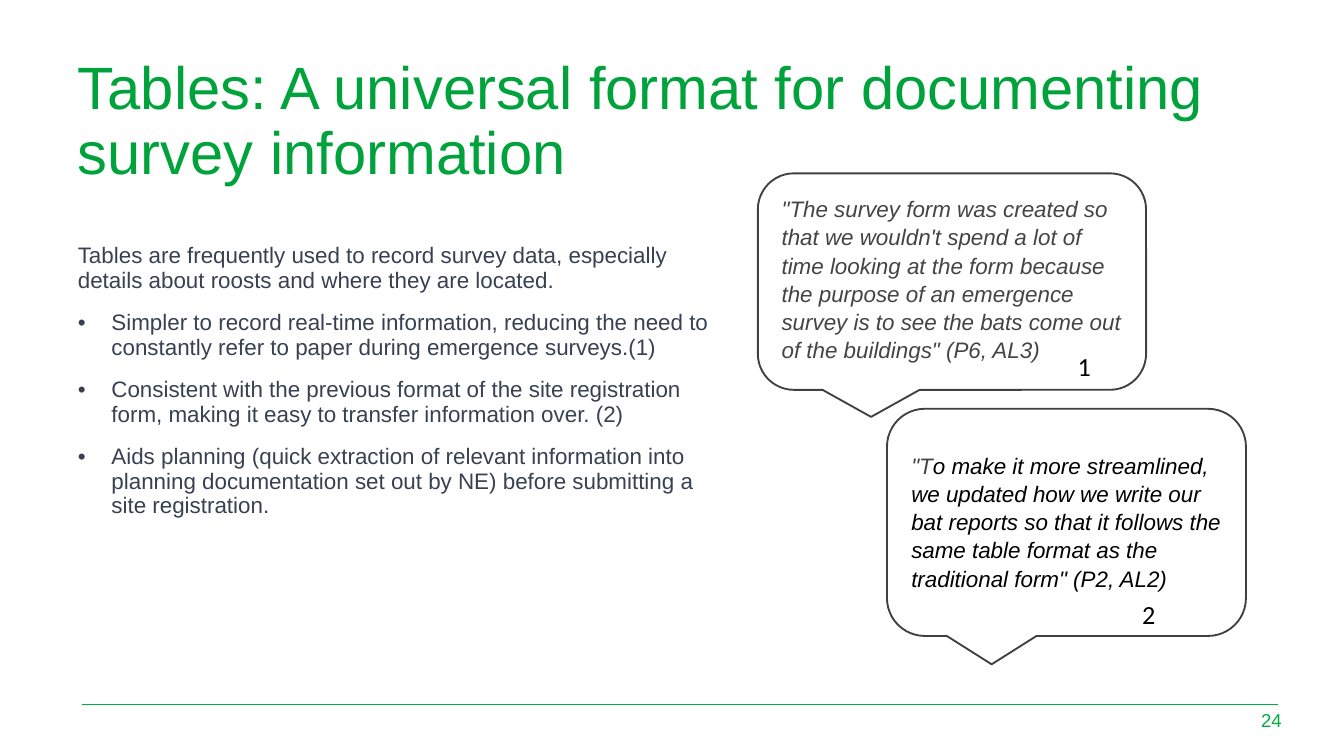
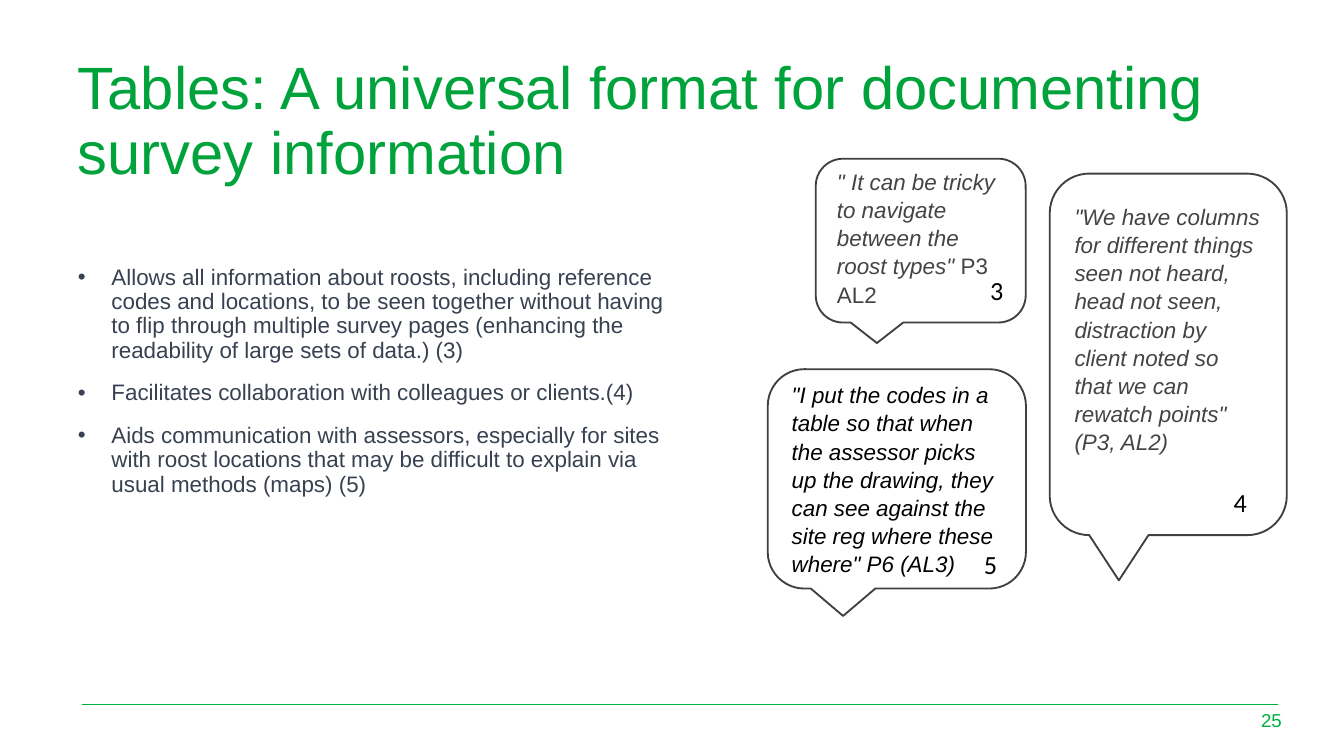
from dataclasses import dataclass

from lxml import etree
from pptx import Presentation
from pptx.dml.color import RGBColor
from pptx.enum import shapes, text
from pptx.oxml import ns
from pptx.util import Pt


@dataclass(frozen=True)
class Theme:
    font: str = "Arial"
    label_font: str = "Calibri"
    title: str = "00A33B"
    accent: str = "00AF41"
    body: str = "374151"
    quote: str = "444444"
    outline: str = "404040"
    black: str = "000000"
    white: str = "FFFFFF"
    title_size: int = 32
    text_size: int = 12
    label_size: int = 14
    number_size: int = 10
    tight: float = 0.9
    loose: float = 1.05
    indent: int = 18


THEME = Theme()
HEADING = "Tables: A universal format for documenting survey information"
FIRST_NUMBER = 24


@dataclass(frozen=True)
class Quote:
    """A speech bubble: runs are (words, colour, italic), label is relative to box."""
    number: str
    box: tuple
    label: tuple
    inset: float
    runs: tuple


def points(*lengths):
    return [Pt(length) for length in lengths]


def add_run(paragraph, words, size, color, font=THEME.font, italic=False):
    run = paragraph.add_run()
    run.text = words
    run.font.name = font
    run.font.size = Pt(size)
    run.font.italic = italic
    run.font.color.rgb = RGBColor.from_string(color)


def place(placeholder, box):
    placeholder.left, placeholder.top, placeholder.width, placeholder.height = points(*box)
    frame = placeholder.text_frame
    frame.auto_size = text.MSO_AUTO_SIZE.NONE
    frame.vertical_anchor = text.MSO_ANCHOR.TOP
    return frame


def set_bullet(paragraph, char):
    """Hang the paragraph on char, or set it flush left without one."""
    props = paragraph._p.get_or_add_pPr()
    indent = Pt(THEME.indent) if char else 0
    props.set("marL", str(indent))
    props.set("indent", str(-indent))
    if char:
        etree.SubElement(props, ns.qn("a:buFont")).set("typeface", THEME.font)
        etree.SubElement(props, ns.qn("a:buChar")).set("char", char)
    else:
        etree.SubElement(props, ns.qn("a:buNone"))


def add_title(slide, box):
    paragraph = place(slide.shapes.title, box).paragraphs[0]
    paragraph.alignment = text.PP_ALIGN.LEFT
    paragraph.line_spacing = THEME.tight
    add_run(paragraph, HEADING, THEME.title_size, THEME.title)


def add_points(slide, box, inset, intro, bullets):
    frame = place(slide.placeholders[1], box)
    frame.margin_top = Pt(inset)
    entries = [(intro, None)] if intro else []
    entries += [(words, "•") for words in bullets]
    for i, (words, char) in enumerate(entries):
        paragraph = frame.add_paragraph() if i else frame.paragraphs[0]
        paragraph.line_spacing = THEME.tight
        paragraph.space_before = Pt(10)
        set_bullet(paragraph, char)
        add_run(paragraph, words, THEME.text_size, THEME.body)


def add_quote(slide, quote):
    left, top, _, _ = quote.box
    bubble = slide.shapes.add_shape(
        shapes.MSO_SHAPE.ROUNDED_RECTANGULAR_CALLOUT, *points(*quote.box))
    bubble.shadow.inherit = False
    bubble.fill.solid()
    bubble.fill.fore_color.rgb = RGBColor.from_string(THEME.white)
    bubble.line.color.rgb = RGBColor.from_string(THEME.outline)
    bubble.line.width = Pt(1)
    frame = bubble.text_frame
    frame.word_wrap = True
    frame.vertical_anchor = text.MSO_ANCHOR.TOP
    frame.margin_top = Pt(quote.inset)
    paragraph = frame.paragraphs[0]
    paragraph.alignment = text.PP_ALIGN.LEFT
    paragraph.line_spacing = THEME.loose
    for words, color, italic in quote.runs:
        add_run(paragraph, words, THEME.text_size, color, italic=italic)

    dx, dy = quote.label
    label = slide.shapes.add_textbox(*points(left + dx, top + dy, 52.5, 24.5)).text_frame
    label.word_wrap = True
    label.auto_size = text.MSO_AUTO_SIZE.SHAPE_TO_FIT_TEXT
    add_run(label.paragraphs[0], quote.number, THEME.label_size, THEME.black, THEME.label_font)


def add_footer(slide, box, number):
    left, top, width, height = box
    rule = slide.shapes.add_connector(
        shapes.MSO_CONNECTOR.STRAIGHT, *points(left, top, left + width, top))
    rule.line.color.rgb = RGBColor.from_string(THEME.accent)
    rule.line.width = Pt(0.5)
    etree.SubElement(rule._element.spPr, ns.qn("a:effectLst"))

    frame = slide.shapes.add_textbox(
        *points(left + width - 23.5, top - 2, 32.5, height)).text_frame
    frame.word_wrap = True
    frame.vertical_anchor = text.MSO_ANCHOR.MIDDLE
    frame.paragraphs[0].alignment = text.PP_ALIGN.RIGHT
    add_run(frame.paragraphs[0], str(number), THEME.number_size, THEME.accent)


def add_findings_slide(deck, number, body_box, inset, intro, bullets, quotes):
    slide = deck.slides.add_slide(deck.slide_layouts[1])
    slide.background.fill.solid()
    slide.background.fill.fore_color.rgb = RGBColor.from_string(THEME.white)
    add_footer(slide, (43.9, 377.2, 640.8, 21.6), number)
    add_title(slide, (34.5, 27.5, 651, 28.8))
    add_points(slide, body_box, inset, intro, bullets)
    for quote in quotes:
        add_quote(slide, quote)


FINDINGS = [
    dict(
        body_box=(34.5, 127.4, 362, 274.3),
        inset=3.6,
        intro="Tables are frequently used to record survey data, especially details about "
              "roosts and where they are located.",
        bullets=[
            "Simpler to record real-time information, reducing the need to constantly refer "
            "to paper during emergence surveys.(1)",
            "Consistent with the previous format of the site registration form, making it "
            "easy to transfer information over. (2)",
            "Aids planning (quick extraction of relevant information into planning "
            "documentation set out by NE) before submitting a site registration.",
        ],
        quotes=[
            Quote("1", (406, 92.9, 208, 116), (164.2, 91.4), 5.4, (
                ("\"The survey form was created so that we wouldn't spend a lot of time "
                 "looking at the form because the purpose of an emergence survey is to see "
                 "the bats come out of the buildings\" (P6, AL3)", THEME.quote, True),)),
            Quote("2", (475.2, 219, 192.3, 121.7), (129.6, 97.8), 16.5, (
                ("\"T", THEME.quote, True),
                ("o make it more streamlined, we updated how we write our bat reports so "
                 "that it follows the same table format as the traditional form\" (P2, AL2)",
                 THEME.black, True))),
        ],
    ),
    dict(
        body_box=(34.5, 116.6, 334.8, 274.3),
        inset=26,
        intro=None,
        bullets=[
            "Allows all information about roosts, including reference codes and locations, "
            "to be seen together without having to flip through multiple survey pages "
            "(enhancing the readability of large sets of data.) (3)",
            "Facilitates collaboration with colleagues or clients.(4)",
            "Aids communication with assessors, especially for sites with roost locations "
            "that may be difficult to explain via usual methods (maps) (5)",
        ],
        quotes=[
            Quote("3", (437, 85, 112.5, 87.8), (86.4, 58.3), 0, (
                ("\" It can be tricky to navigate between the roost types\" ",
                 THEME.quote, True),
                ("P3 AL2", THEME.quote, False))),
            Quote("4", (562.4, 93, 127, 193.7), (91.4, 164), 8.8, (
                ("\"We have columns for different things seen not heard, head not seen, "
                 "distraction by client noted so that we can rewatch points\" (P3, AL2)",
                 THEME.quote, True),)),
            Quote("5", (411.3, 197.8, 138.3, 117.5), (108.7, 92.2), 0, (
                ("\"I put the codes in a table so that when the assessor picks up "
                 "the drawing, they can see against the site reg where these where\" "
                 "P6 (AL3)", THEME.black, True),)),
        ],
    ),
]


def main():
    deck = Presentation()
    deck.slide_width, deck.slide_height = points(720, 405)
    for number, findings in enumerate(FINDINGS, FIRST_NUMBER):
        add_findings_slide(deck, number, **findings)
    deck.save("out.pptx")


if __name__ == "__main__":
    main()
